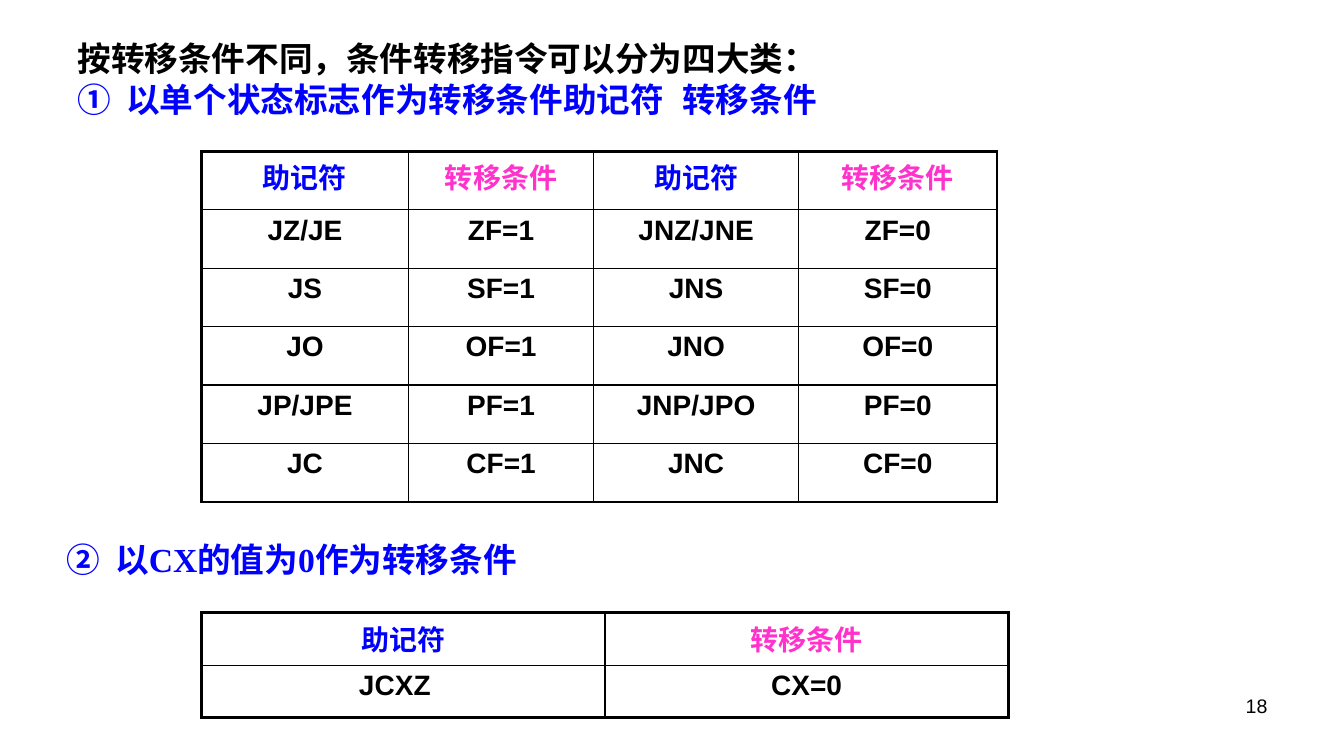
from lxml.etree import SubElement
from pptx import Presentation
from pptx.dml.color import RGBColor as Rgb
from pptx.enum.text import PP_ALIGN as Align
from pptx.oxml.ns import qn
from pptx.util import Emu, Pt

PX = 9144  # 100 px to the inch
COLORS = {"black": "000000", "blue": "0000FF", "pink": "FF33CC"}
HEADINGS = ["助记符", "转移条件"]
HEADING_COLORS = ["blue", "pink"]
FLAG_ROWS = [
    HEADINGS * 2,
    ["JZ/JE", "ZF=1", "JNZ/JNE", "ZF=0"],
    ["JS", "SF=1", "JNS", "SF=0"],
    ["JO", "OF=1", "JNO", "OF=0"],
    ["JP/JPE", "PF=1", "JNP/JPO", "PF=0"],
    ["JC", "CF=1", "JNC", "CF=0"],
]
CX_ROWS = [HEADINGS, ["JCXZ\t", "CX=0"]]


def px(length):
    return Emu(length * PX)


def add_run(paragraph, text, size, font, color, bold=True):
    run = paragraph.add_run()
    run.text = text
    run.font.size = Pt(size)
    run.font.name = font
    run.font.bold = bold
    run.font.color.rgb = Rgb.from_string(COLORS[color])


def add_text(slide, box, lines, size=24, font="Times New Roman", bold=True,
             align=Align.LEFT):
    frame = slide.shapes.add_textbox(*map(px, box)).text_frame
    frame.word_wrap = True
    for index, (text, color) in enumerate(lines):
        paragraph = frame.add_paragraph() if index else frame.paragraphs[0]
        paragraph.alignment = align
        add_run(paragraph, text, size, font, color, bold)


def set_border(cell, side, width):
    line = SubElement(cell._tc.get_or_add_tcPr(), qn(f"a:ln{side}"),
                      w=str(Pt(width)))
    fill = SubElement(line, qn("a:solidFill"))
    SubElement(fill, qn("a:srgbClr"), val=COLORS["black"])


def fill_cell(cell, text, color, outer_sides):
    cell.margin_left = cell.margin_right = px(13)
    cell.margin_top = cell.margin_bottom = px(5)
    for side, is_outer in outer_sides.items():
        set_border(cell, side, 2.25 if is_outer else 1)
    cell.fill.background()
    paragraph = cell.text_frame.paragraphs[0]
    paragraph.alignment = Align.CENTER
    # Hanging indent
    properties = paragraph._p.get_or_add_pPr()
    properties.set("marL", str(px(38)))
    properties.set("indent", str(px(-38)))
    add_run(paragraph, text, 20, "Arial", color)


def add_condition_table(slide, left, top, widths, row_height, rows):
    last_row, last_col = len(rows) - 1, len(widths) - 1
    table = slide.shapes.add_table(
        len(rows), len(widths), px(left), px(top),
        px(sum(widths)), px(row_height * len(rows))).table
    table.first_row = table.horz_banding = False
    for column, width in zip(table.columns, widths):
        column.width = px(width)
    for r, texts in enumerate(rows):
        table.rows[r].height = px(row_height)
        for c, text in enumerate(texts):
            color = "black" if r else HEADING_COLORS[c % 2]
            outer_sides = {"L": c == 0, "R": c == last_col,
                           "T": r == 0, "B": r == last_row}
            fill_cell(table.cell(r, c), text, color, outer_sides)


def main():
    deck = Presentation()
    deck.slide_width, deck.slide_height = px(1333), px(750)
    slide = deck.slides.add_slide(deck.slide_layouts[6])

    # Page number
    add_text(slide, (956, 683, 311, 52), [("18", "black")],
             size=14, font="Arial", bold=False, align=Align.RIGHT)

    # Conditions on a single status flag
    add_text(slide, (67, 33, 1156, 114), [
        ("按转移条件不同，条件转移指令可以分为四大类：", "black"),
        ("①  以单个状态标志作为转移条件助记符\t转移条件", "blue"),
    ])
    add_condition_table(slide, 200, 150, [205, 184, 203, 197], 58, FLAG_ROWS)

    # Condition on the value of CX
    add_text(slide, (56, 530, 722, 50),
             [("②  以CX的值为0作为转移条件", "blue")])
    add_condition_table(slide, 200, 608, [400, 400], 52, CX_ROWS)

    deck.save("out.pptx")


if __name__ == "__main__":
    main()
